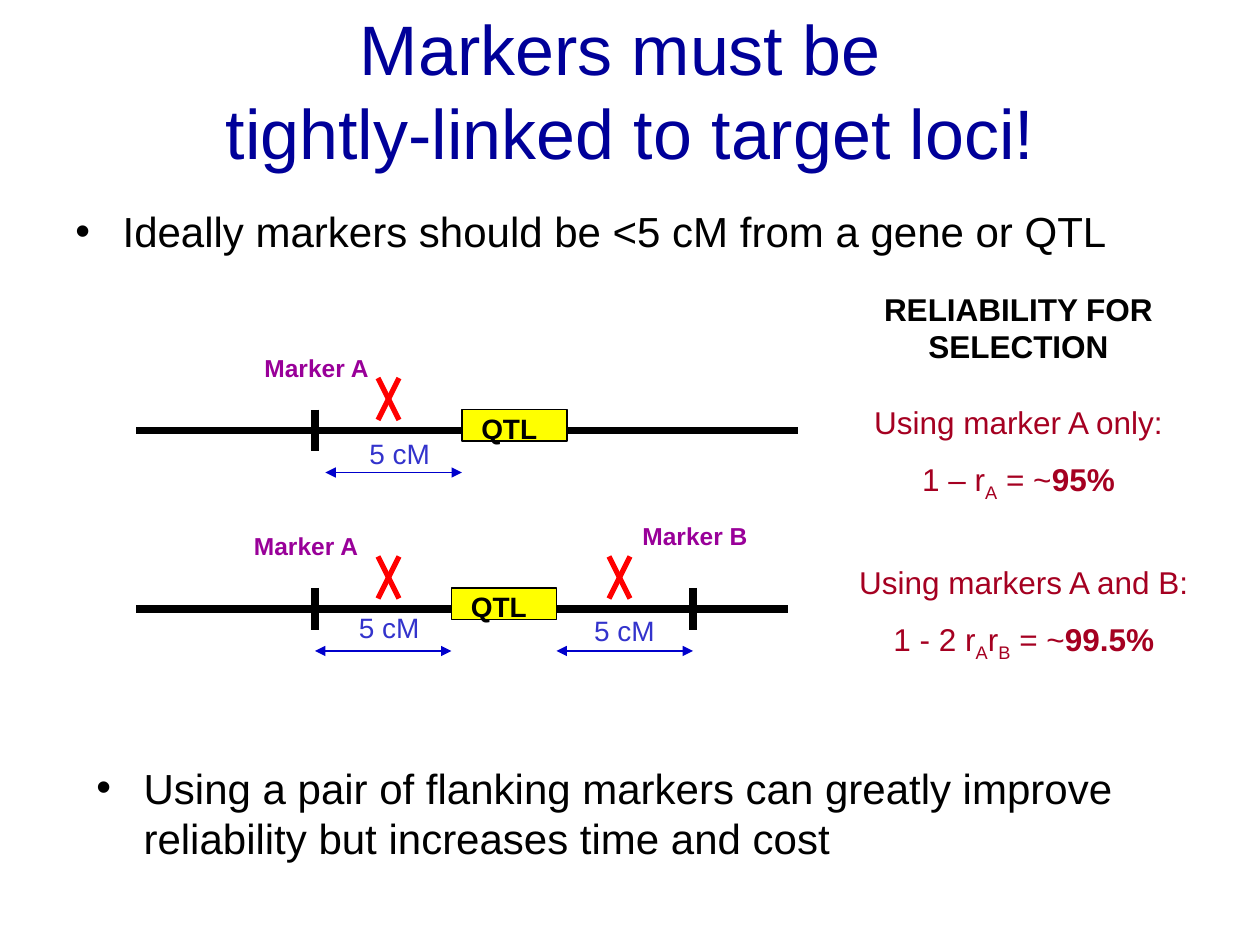
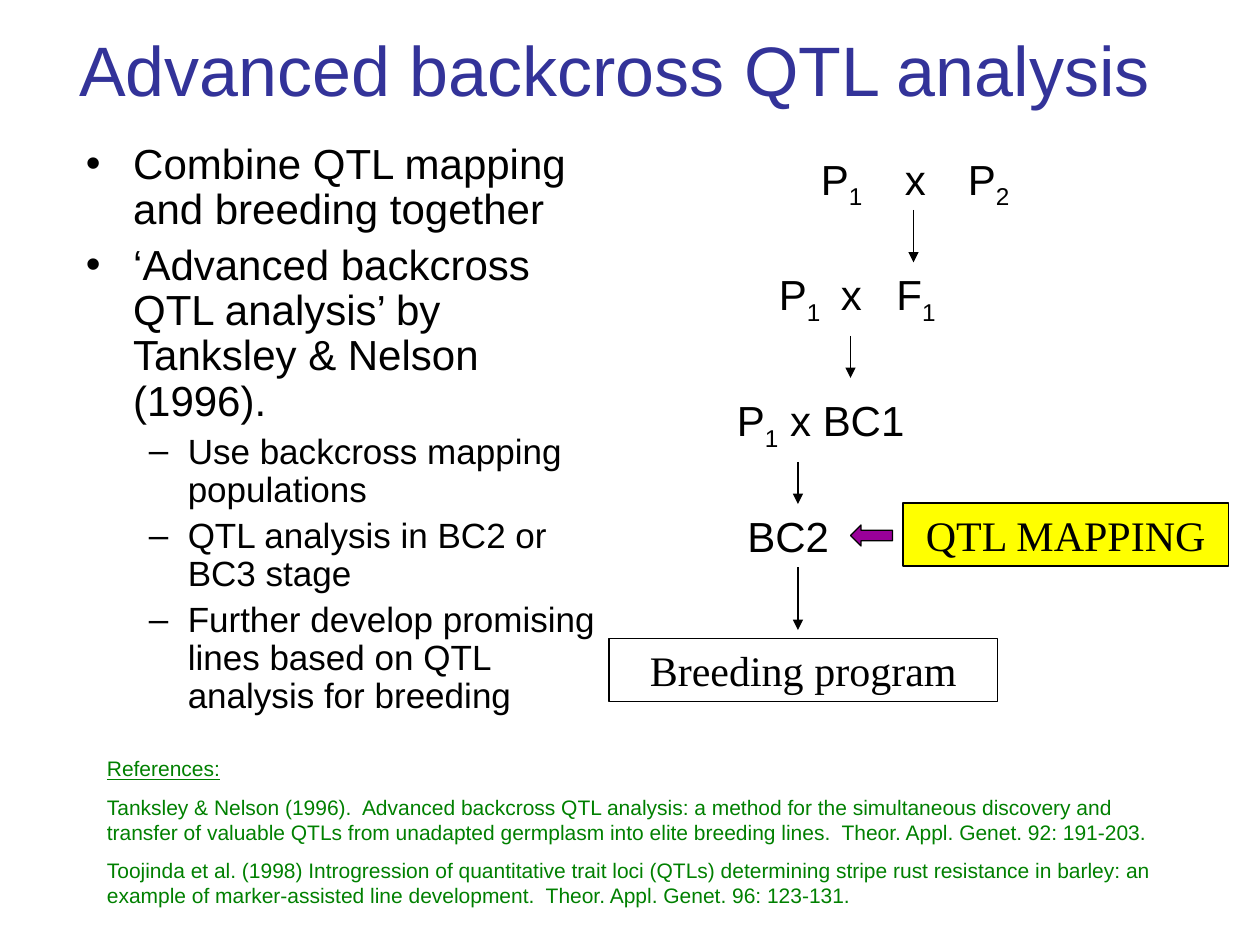
"""Build two slides on marker linkage and advanced backcross QTL analysis."""
from typing import NamedTuple, Optional

from lxml import etree
from pptx import Presentation
from pptx.dml.color import RGBColor
from pptx.enum.shapes import MSO_CONNECTOR, MSO_SHAPE
from pptx.enum.text import MSO_ANCHOR, PP_ALIGN
from pptx.oxml.ns import qn
from pptx.util import Emu, Pt

STRAIGHT = MSO_CONNECTOR.STRAIGHT
RECTANGLE, LEFT_ARROW = MSO_SHAPE.RECTANGLE, MSO_SHAPE.LEFT_ARROW
TOP, MIDDLE = MSO_ANCHOR.TOP, MSO_ANCHOR.MIDDLE
LEFT, CENTER = PP_ALIGN.LEFT, PP_ALIGN.CENTER

EMU_PER_PX = 7620
SLIDE_WIDTH, SLIDE_HEIGHT = 1200, 900
SANS, SERIF = "Arial", "Times New Roman"
BLACK, WHITE, YELLOW, RED = "000000", "FFFFFF", "FFFF00", "FF0000"
NAVY, INDIGO, PURPLE = "000099", "333399", "990099"
DISTANCE_LINE, DISTANCE_TEXT = "0000CC", "3333CC"
CRIMSON, GREEN = "A50021", "008000"
THIN, CROSSOVER_WIDTH, CHROMOSOME_WIDTH = 0.75, 3, 4.5
BREAK = "\v"


class Area(NamedTuple):
    """Left, top, width and height in px."""
    left: int
    top: int
    width: int
    height: int


class Run(NamedTuple):
    """A stretch of text with its own emphasis."""
    text: str
    sub: bool = False
    bold: bool = False
    underline: bool = False


class Bullet(NamedTuple):
    """The look of one list level."""
    char: str
    indent: int
    hanging: int
    size: int
    before: int


class Para(NamedTuple):
    """The runs of one paragraph and its list level."""
    runs: tuple[Run, ...]
    bullet: Optional[Bullet] = None


class Distance(NamedTuple):
    """A map distance between two loci and the place of its label."""
    start: int
    end: int
    label_left: int
    label_offset: int


class Marker(NamedTuple):
    """A marker on a chromosome and the place of its label."""
    name: str
    position: int
    label_left: int
    label_offset: int


class Chromosome(NamedTuple):
    """A chromosome with its QTL, markers, crossovers and distances."""
    y: int
    end: int
    qtl: int
    markers: tuple[Marker, ...]
    crossovers: tuple[int, ...]
    distances: tuple[Distance, ...]


class Step(NamedTuple):
    """One downward arrow of the crossing scheme."""
    x: int
    top: int
    bottom: int


DOT = Bullet("•", 45, 45, 24, 6)
DASH = Bullet("–", 97, 37, 20, 5)

CHROMOSOMES = (
    Chromosome(410, 760, 440, (Marker("Marker A", 300, 240, -80),), (360,),
               (Distance(310, 440, 340, 0),)),
    Chromosome(580, 750, 430,
               (Marker("Marker A", 300, 230, -80), Marker("Marker B", 660, 600, -90)),
               (360, 580),
               (Distance(300, 430, 330, -4), Distance(530, 660, 554, -2))),
)

RELIABILITY = (
    (Area(800, 378, 340, 108), (
        Para((Run("Using marker A only:"),)),
        Para((Run("1 – r"), Run("A", sub=True), Run(" = ~"), Run("95%", bold=True))))),
    (Area(750, 530, 450, 108), (
        Para((Run("Using markers A and B:"),)),
        Para((Run("1 - 2 r"), Run("A", sub=True), Run("r"), Run("B", sub=True),
              Run(" = ~"), Run("99.5%", bold=True))))),
)

BACKCROSS_POINTS = (
    (DOT, "Combine QTL mapping and breeding together"),
    (DOT, "‘Advanced backcross QTL analysis’ by Tanksley & Nelson (1996)."),
    (DASH, "Use backcross mapping populations"),
    (DASH, "QTL analysis in BC2 or BC3 stage"),
    (DASH, "Further develop promising lines based on QTL analysis for breeding"),
)

REFERENCES = (
    Run("References:", underline=True),
    Run("Tanksley & Nelson (1996).  Advanced backcross QTL analysis: a method for the "
        "simultaneous discovery and transfer of valuable QTLs from unadapted germplasm into "
        "elite breeding lines.  Theor. Appl. Genet. 92: 191-203."),
    Run("Toojinda et al. (1998) Introgression of quantitative trait loci (QTLs) determining "
        "stripe rust resistance in barley: an example of marker-assisted line development.  "
        "Theor. Appl. Genet. 96: 123-131."),
)

P, ONE = Run("P"), Run("1", sub=True)
GENERATIONS = (
    (Area(850, 140, 60, 60), (Run("x"),)),
    (Area(910, 140, 160, 67), (P, Run("2", sub=True))),
    (Area(770, 140, 100, 67), (P, ONE)),
    (Area(730, 250, 230, 67), (P, ONE, Run("\tx\tF"), ONE)),
    (Area(690, 370, 220, 67), (P, ONE, Run(" x BC1"))),
    (Area(700, 480, 130, 60), (Run("BC2"),)),
)
CROSS_TABS = (59, 112)

STEPS = (Step(870, 200, 250), Step(810, 320, 360), Step(760, 440, 480), Step(760, 540, 600))


def px(length: int) -> Emu:
    """Turn px into EMU."""
    return Emu(length * EMU_PER_PX)


def color(value: str) -> RGBColor:
    """Turn a hex string into a colour."""
    return RGBColor.from_string(value)


def plain(text: str, bullet: Optional[Bullet] = None) -> tuple[Para, ...]:
    """Wrap one string as a single paragraph."""
    return (Para((Run(text),), bullet),)


def add_bullet(paragraph, bullet: Bullet) -> None:
    """Give a paragraph its bullet and hanging indent."""
    properties = paragraph._p.get_or_add_pPr()
    properties.set("marL", str(px(bullet.indent)))
    properties.set("indent", str(-px(bullet.hanging)))
    etree.SubElement(properties, qn("a:buFont"), typeface=SANS)
    etree.SubElement(properties, qn("a:buChar"), char=bullet.char)


def add_tabs(paragraph, positions: tuple[int, ...]) -> None:
    """Set left tab stops on a paragraph."""
    stops = etree.SubElement(paragraph._p.get_or_add_pPr(), qn("a:tabLst"))
    for position in positions:
        etree.SubElement(stops, qn("a:tab"), pos=str(px(position)), algn="l")


def write_text(shape, paragraphs: tuple[Para, ...], *, size: int, ink: str = BLACK,
               font: str = SANS, bold: bool = False, align=LEFT, anchor=TOP,
               before: float = 0, spacing: float = 1.0,
               tabs: tuple[int, ...] = ()) -> None:
    """Fill a shape with formatted paragraphs."""
    frame = shape.text_frame
    frame.word_wrap = True
    frame.vertical_anchor = anchor
    for index, para in enumerate(paragraphs):
        paragraph = frame.add_paragraph() if index else frame.paragraphs[0]
        if para.bullet:
            add_bullet(paragraph, para.bullet)
        if tabs:
            add_tabs(paragraph, tabs)
        paragraph.alignment = align
        paragraph.line_spacing = spacing
        if index:
            paragraph.space_before = Pt(para.bullet.before if para.bullet else before)
        for part in para.runs:
            if part.text == BREAK:
                paragraph.add_line_break()
                continue
            run = paragraph.add_run()
            run.text = part.text
            run.font.name = font
            run.font.size = Pt(para.bullet.size if para.bullet else size)
            run.font.bold = bold or part.bold
            run.font.underline = part.underline
            run.font.color.rgb = color(ink)
            if part.sub:
                run._r.get_or_add_rPr().set("baseline", "-25000")


def add_text(slide, area: Area, paragraphs: tuple[Para, ...], **text_format) -> None:
    """Add a text box."""
    write_text(slide.shapes.add_textbox(*map(px, area)), paragraphs, **text_format)


def add_title(slide, area: Area, runs: tuple[Run, ...], ink: str) -> None:
    """Add the slide title."""
    add_text(slide, area, (Para(runs),), size=40, ink=ink, align=CENTER, anchor=MIDDLE)


def add_box(slide, area: Area, fill: str, kind=RECTANGLE, outlined: bool = True):
    """Add a filled preset shape."""
    box = slide.shapes.add_shape(kind, *map(px, area))
    box.shadow.inherit = False
    box.fill.solid()
    box.fill.fore_color.rgb = color(fill)
    if outlined:
        box.line.color.rgb = color(BLACK)
        box.line.width = Pt(THIN)
    else:
        box.line.fill.background()
    return box


def add_line(slide, start: tuple[int, int], end: tuple[int, int], ink: str = BLACK,
             width: float = THIN, arrows: tuple[str, ...] = ()) -> None:
    """Add a straight line with optional arrowheads."""
    line = slide.shapes.add_connector(STRAIGHT, *map(px, start + end))
    line.line.color.rgb = color(ink)
    line.line.width = Pt(width)
    for arrow in arrows:
        etree.SubElement(line.line._get_or_add_ln(), qn(f"a:{arrow}"), type="triangle")
    etree.SubElement(line._element.spPr, qn("a:effectLst"))


def draw_chromosome(slide, item: Chromosome) -> None:
    """Draw a chromosome with everything mapped on it."""
    y = item.y
    add_line(slide, (130, y), (item.end, y), width=CHROMOSOME_WIDTH)
    for marker in item.markers:
        add_line(slide, (marker.position, y - 20), (marker.position, y + 20),
                 width=CHROMOSOME_WIDTH)
        add_text(slide, Area(marker.label_left, y + marker.label_offset, 150, 41),
                 plain(marker.name), size=14, ink=PURPLE, bold=True)
    add_box(slide, Area(item.qtl, y - 20, 100, 30), YELLOW)
    add_text(slide, Area(item.qtl, y - 24, 90, 44), plain("QTL"), size=16, bold=True,
             align=CENTER)
    for left in item.crossovers:
        for start, end in ((left, left + 20), (left + 20, left)):
            add_line(slide, (start, y - 50), (end, y - 10), RED, CROSSOVER_WIDTH)
    for gap in item.distances:
        add_line(slide, (gap.start, y + 40), (gap.end, y + 40), DISTANCE_LINE,
                 arrows=("headEnd", "tailEnd"))
        add_text(slide, Area(gap.label_left, y + gap.label_offset, 110, 44), plain("5 cM"),
                 size=16, ink=DISTANCE_TEXT)


def build_linkage_slide(slide) -> None:
    """Show why markers must lie close to the target locus."""
    add_title(slide, Area(90, 10, 1020, 150),
              (Run("Markers must be "), Run(BREAK), Run("tightly-linked to target loci!")), NAVY)
    add_text(slide, Area(60, 190, 1070, 140),
             plain("Ideally markers should be <5 cM from a gene or QTL", DOT), size=DOT.size)
    add_text(slide, Area(80, 720, 1070, 170),
             plain("Using a pair of flanking markers can greatly improve reliability but "
                   "increases time and cost", DOT), size=DOT.size)
    for chromosome in CHROMOSOMES:
        draw_chromosome(slide, chromosome)
    heading = add_box(slide, Area(790, 270, 360, 84), WHITE, outlined=False)
    write_text(heading, plain("RELIABILITY FOR SELECTION"), size=18, bold=True, align=CENTER)
    for area, formula in RELIABILITY:
        add_text(slide, area, formula, size=18, ink=CRIMSON, align=CENTER, before=11.2)


def build_backcross_slide(slide) -> None:
    """Show the advanced backcross scheme and its references."""
    add_title(slide, Area(0, 0, 1170, 130), (Run("Advanced backcross QTL analysis"),), INDIGO)
    points = tuple(Para((Run(text),), bullet) for bullet, text in BACKCROSS_POINTS)
    add_text(slide, Area(70, 130, 510, 570), points, size=DOT.size, spacing=0.9)
    add_text(slide, Area(90, 714, 1040, 157), tuple(Para((entry,)) for entry in REFERENCES),
             size=12, ink=GREEN, before=7.5)
    for area, runs in GENERATIONS:
        add_text(slide, area, (Para(runs),), size=24, tabs=CROSS_TABS)
    for step in STEPS:
        add_line(slide, (step.x, step.top), (step.x, step.bottom), arrows=("tailEnd",))
    add_box(slide, Area(810, 500, 40, 20), PURPLE, LEFT_ARROW)
    for area, fill, stage in ((Area(860, 479, 310, 60), YELLOW, "QTL MAPPING"),
                              (Area(580, 608, 370, 60), WHITE, "Breeding program")):
        write_text(add_box(slide, area, fill), plain(stage), size=24, font=SERIF, align=CENTER)


def main() -> None:
    """Build and save the presentation."""
    deck = Presentation()
    deck.slide_width, deck.slide_height = px(SLIDE_WIDTH), px(SLIDE_HEIGHT)
    for build in (build_linkage_slide, build_backcross_slide):
        build(deck.slides.add_slide(deck.slide_layouts[6]))
    deck.save("out.pptx")


if __name__ == "__main__":
    main()
